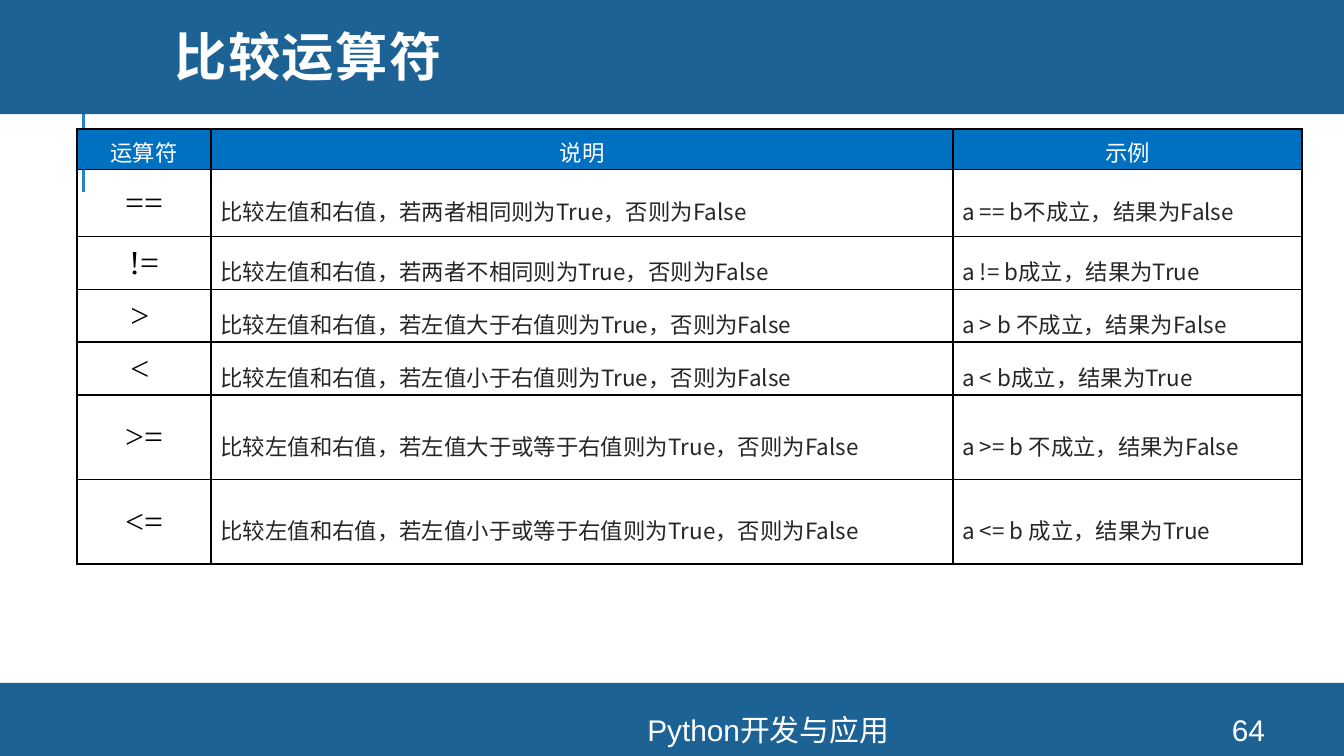
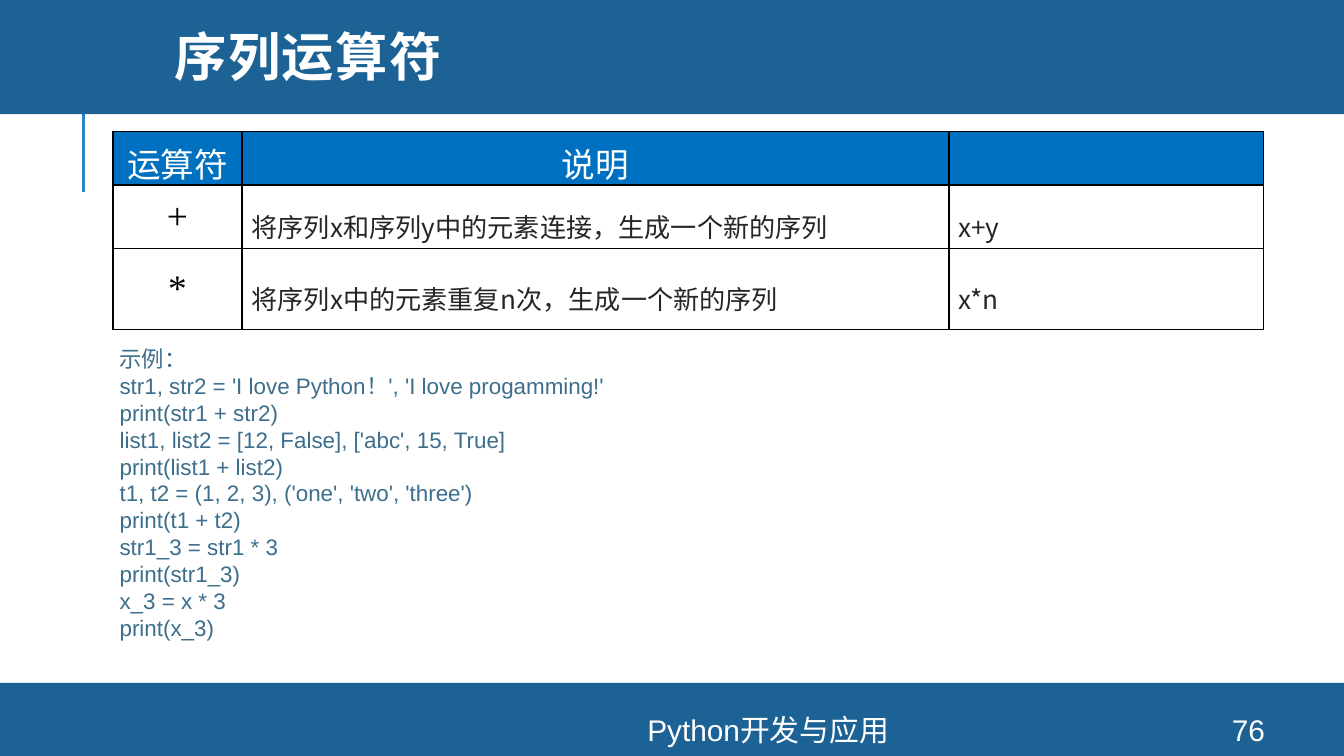
from lxml import etree
from pptx import Presentation
from pptx.dml.color import RGBColor
from pptx.enum.shapes import MSO_CONNECTOR, MSO_SHAPE
from pptx.enum.text import MSO_ANCHOR, PP_ALIGN
from pptx.oxml.ns import qn
from pptx.util import Pt

LEFT, CENTER, JUSTIFY = PP_ALIGN.LEFT, PP_ALIGN.CENTER, PP_ALIGN.JUSTIFY
TOP, MIDDLE = MSO_ANCHOR.TOP, MSO_ANCHOR.MIDDLE
RECTANGLE, STRAIGHT = MSO_SHAPE.RECTANGLE, MSO_CONNECTOR.STRAIGHT

COLORS = {
    "band": "1D6294", "accent": "2683C6", "white": "FFFFFF", "header": "0070C0",
    "symbol": "000000", "body": "262626", "code": "3D6E8C", "border": "000000",
}
WIDTH, HEIGHT = 720, 405
BLANK = 6

COMPARISONS = [
    ("运算符", "说明", "示例"),
    ("==", "比较左值和右值，若两者相同则为True，否则为False", "a == b不成立，结果为False"),
    ("!=", "比较左值和右值，若两者不相同则为True，否则为False", "a != b成立，结果为True"),
    ("> ", "比较左值和右值，若左值大于右值则为True，否则为False", "a > b 不成立，结果为False"),
    ("< ", "比较左值和右值，若左值小于右值则为True，否则为False", "a < b成立，结果为True"),
    (">=", "比较左值和右值，若左值大于或等于右值则为True，否则为False", "a >= b 不成立，结果为False"),
    ("<=", "比较左值和右值，若左值小于或等于右值则为True，否则为False", "a <= b 成立，结果为True"),
]
SEQUENCES = [
    ("运算符", "说明", ""),
    ("+", "将序列x和序列y中的元素连接，生成一个新的序列", "x+y"),
    ("*", "将序列x中的元素重复n次，生成一个新的序列", "x*n"),
]
EXAMPLE = """示例：
str1, str2 = 'I love Python！', 'I love progamming!'
print(str1 + str2)
list1, list2 = [12, False], ['abc', 15, True]
print(list1 + list2)
t1, t2 = (1, 2, 3), ('one', 'two', 'three')
print(t1 + t2)
str1_3 = str1 * 3
print(str1_3)
x_3 = x * 3
print(x_3)"""


def rgb(name):
    """Return the named colour."""
    return RGBColor.from_string(COLORS[name])


def style_paragraph(p, size, font, color, align=LEFT, spacing=None, bold=False):
    """Set the alignment, line spacing and font of a paragraph."""
    p.alignment = align
    p.line_spacing = spacing
    p.font.size = Pt(size)
    p.font.name = font
    p.font.bold = bold
    p.font.color.rgb = rgb(color)


def add_text(slide, box, text, anchor=MIDDLE, inset=None, **style):
    """Add a wrapping text box and return its text frame."""
    tf = slide.shapes.add_textbox(*map(Pt, box)).text_frame
    tf.word_wrap = True
    tf.vertical_anchor = anchor
    if inset is not None:
        tf.margin_left = tf.margin_right = tf.margin_top = tf.margin_bottom = Pt(inset)
    tf.text = text
    for p in tf.paragraphs:
        style_paragraph(p, **style)
    return tf


def add_band(slide, top, height):
    """Add a full-width coloured band."""
    sp = slide.shapes.add_shape(RECTANGLE, 0, Pt(top), Pt(WIDTH), Pt(height))
    sp.shadow.inherit = False
    sp.fill.solid()
    sp.fill.fore_color.rgb = rgb("band")
    sp.line.fill.background()


def add_accent_line(slide):
    """Add the short vertical line below the title band."""
    line = slide.shapes.add_connector(STRAIGHT, Pt(44.8), Pt(103), Pt(44.8), Pt(49))
    line.line.color.rgb = rgb("accent")
    line.line.width = Pt(1.5)
    etree.SubElement(line._element.spPr, qn("a:effectLst"))


def add_title(slide, text):
    """Add the slide title with slightly widened letter spacing."""
    tf = add_text(slide, (86.4, 0, 611.3, 65.5), text, size=28, font="Montserrat",
                  color="white", spacing=0.8, bold=True)
    tf.paragraphs[0]._p.pPr.find(qn("a:defRPr")).set("spc", "80")


def add_base_slide(prs, title, number):
    """Add a slide with its bands, title, footer and number."""
    slide = prs.slides.add_slide(prs.slide_layouts[BLANK])
    add_accent_line(slide)
    add_band(slide, 365.8, 39.2)
    add_band(slide, -2.2, 63.4)
    add_title(slide, title)
    for left, width, text in ((188, 447, "Python开发与应用"), (640, 57.6, str(number))):
        add_text(slide, (left, 382.3, width, 16.6), text, size=16, font="Arial",
                 color="white", align=CENTER)
    return slide


def set_borders(cell):
    """Draw a one-point border on every side of a cell."""
    tc_pr = cell._tc.get_or_add_tcPr()
    for side in ("lnL", "lnR", "lnT", "lnB"):
        ln = etree.SubElement(tc_pr, qn(f"a:{side}"), w=str(Pt(1)))
        fill = etree.SubElement(ln, qn("a:solidFill"))
        etree.SubElement(fill, qn("a:srgbClr"), val=COLORS["border"])


def style_cell(cell, row, column, sizes):
    """Style a cell as header, operator symbol or description."""
    header_size, symbol_size, body_size = sizes
    p = cell.text_frame.paragraphs[0]
    set_borders(cell)
    if row == 0:
        cell.fill.solid()
        cell.fill.fore_color.rgb = rgb("header")
        style_paragraph(p, header_size, "Arial", "white", CENTER)
        return
    cell.fill.background()
    cell.vertical_anchor = MIDDLE
    cell.margin_left = cell.margin_right = Pt(5)
    cell.margin_top = cell.margin_bottom = 0
    if column == 0:
        style_paragraph(p, symbol_size, "Times New Roman", "symbol", CENTER)
    else:
        style_paragraph(p, body_size, "Noto Sans CJK SC", "body", JUSTIFY, 1.5)


def add_operator_table(slide, left, top, widths, heights, rows, sizes):
    """Add a table of operators with the given column widths and row heights."""
    table = slide.shapes.add_table(
        len(rows), len(widths), Pt(left), Pt(top), Pt(sum(widths)), Pt(sum(heights))).table
    table.first_row = table.horz_banding = False
    for column, width in zip(table.columns, widths):
        column.width = Pt(width)
    for table_row, height in zip(table.rows, heights):
        table_row.height = Pt(height)
    for i, row in enumerate(rows):
        for j, text in enumerate(row):
            cell = table.cell(i, j)
            cell.text = text
            style_cell(cell, i, j, sizes)


def main():
    """Build and save the two operator slides."""
    prs = Presentation()
    prs.slide_width, prs.slide_height = Pt(WIDTH), Pt(HEIGHT)

    slide = add_base_slide(prs, "比较运算符", 64)
    add_operator_table(slide, 41.2, 69.1, (72, 397.4, 187),
                       (21.6, 36, 28.3, 28.3, 28.3, 45.3, 45.3), COMPARISONS, (12, 18, 12))

    slide = add_base_slide(prs, "序列运算符", 76)
    add_operator_table(slide, 60.5, 70.4, (69.2, 378.7, 168.5),
                       (23.8, 34, 43.2), SEQUENCES, (18, 20, 14))
    add_text(slide, (60.5, 181.4, 590.4, 179.3), EXAMPLE, anchor=TOP, inset=3.6, size=12,
             font="Arial", color="code", align=JUSTIFY, spacing=Pt(14.4))

    prs.save("out.pptx")


if __name__ == "__main__":
    main()
